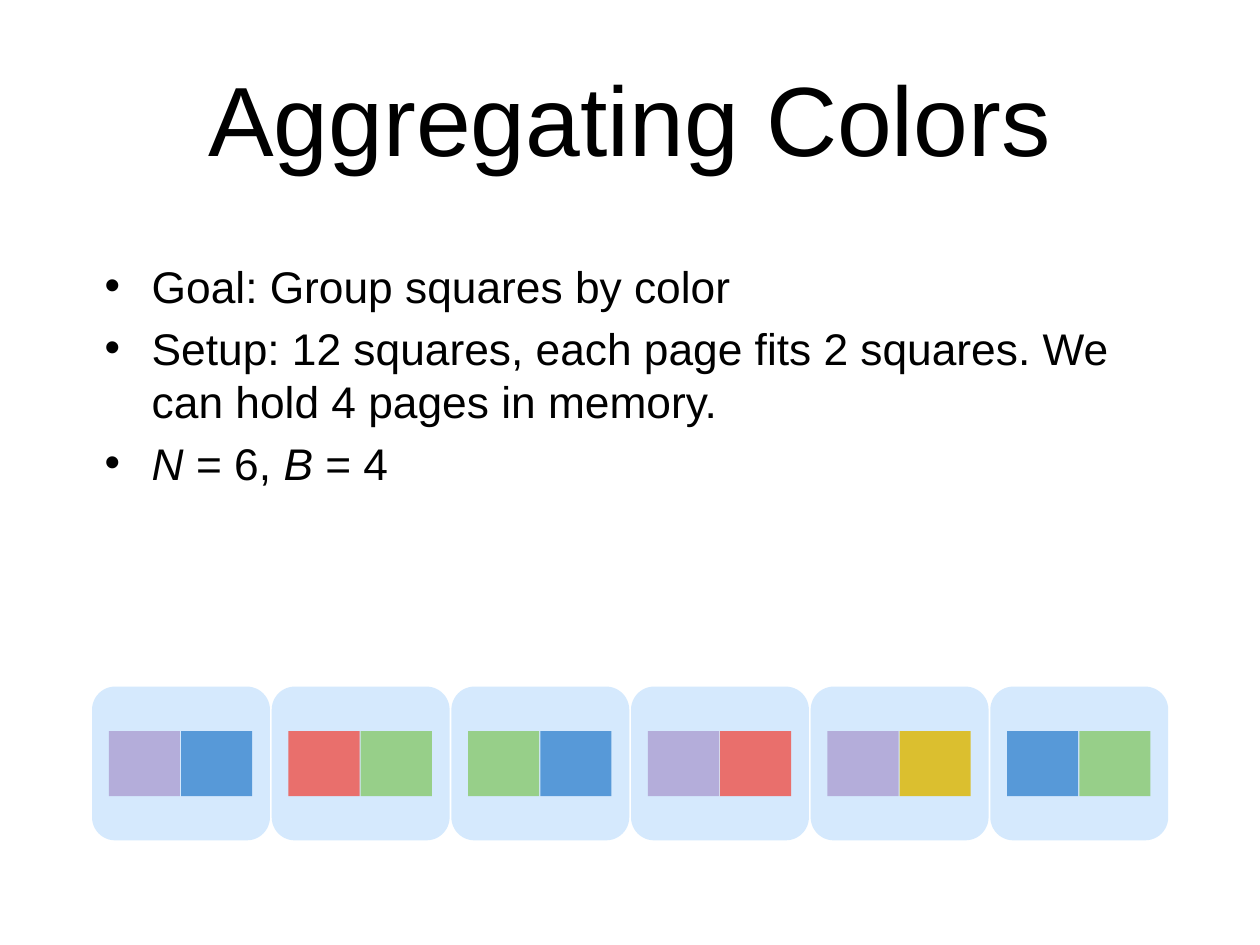
from pptx import Presentation
from pptx.dml.color import RGBColor
from pptx.enum.shapes import MSO_SHAPE
from pptx.enum.text import MSO_ANCHOR, MSO_AUTO_SIZE, PP_ALIGN
from pptx.oxml.ns import qn
from pptx.util import Cm, Pt
from lxml.etree import SubElement

FONT = "Arial"
BLACK = RGBColor(0x00, 0x00, 0x00)

# Each fill is a colour with its opacity in percent.
PAGE_FILL = (RGBColor(0x51, 0xA7, 0xF9), 24)
PURPLE = (RGBColor(0x77, 0x3F, 0x9B), 35)
BLUE = (RGBColor(0x03, 0x65, 0xC0), 60)
RED = (RGBColor(0xEC, 0x5D, 0x57), 87)
GREEN = (RGBColor(0x70, 0xBF, 0x41), 61)
YELLOW = (RGBColor(0xDC, 0xBD, 0x23), 94)

MEMORY_PAGES = [
    (PURPLE, BLUE),
    (RED, GREEN),
    (GREEN, BLUE),
    (PURPLE, RED),
    (PURPLE, YELLOW),
    (BLUE, GREEN),
]

# Each bullet is a list of (text, italic) spans.
BULLETS = [
    [("Goal: Group squares by color", False)],
    [("Setup: 12 squares, each page fits 2 squares. "
      "We can hold 4 pages in memory.", False)],
    [("N ", True), ("= 6, ", False), ("B ", True), ("= 4", False)],
]

PAGE_LEFT, PAGE_TOP, PAGE_PITCH = Cm(2.64), Cm(19.69), Cm(5.15)
PAGE_WIDTH, PAGE_HEIGHT = Cm(5.1), Cm(4.41)
SQUARE_INSET, SQUARE_TOP, SQUARE_PITCH = Cm(0.48), Cm(20.97), Cm(2.07)
SQUARE_WIDTH, SQUARE_HEIGHT = Cm(2.04), Cm(1.86)


def place(box, left, top, width, height):
    box.left, box.top, box.width, box.height = left, top, width, height


def prepare_frame(box, anchor):
    frame = box.text_frame
    frame.word_wrap = True
    frame.auto_size = MSO_AUTO_SIZE.NONE
    frame.vertical_anchor = anchor
    frame.margin_left = frame.margin_right = Cm(0.36)
    frame.margin_top = frame.margin_bottom = Cm(0.18)
    return frame


def style_paragraph(para, size):
    para.font.name = FONT
    para.font.size = Pt(size)
    para.font.color.rgb = BLACK


def set_title(page, text):
    title = page.shapes.title
    place(title, Cm(1.8), Cm(1.09), Cm(32.51), Cm(4.52))
    frame = prepare_frame(title, MSO_ANCHOR.MIDDLE)
    frame.text = text
    para = frame.paragraphs[0]
    para.alignment = PP_ALIGN.CENTER
    style_paragraph(para, 80)


def set_bullets(page, bullets):
    body = page.placeholders[1]
    place(body, Cm(2.64), Cm(7.24), Cm(30.84), Cm(10.67))
    frame = prepare_frame(body, MSO_ANCHOR.TOP)
    for index, spans in enumerate(bullets):
        para = frame.add_paragraph() if index else frame.paragraphs[0]
        for text, italic in spans:
            span = para.add_run()
            span.text = text
            if italic:
                span.font.italic = True
        style_paragraph(para, 36)
        para.space_before = Pt(7.2)
        properties = para._p.get_or_add_pPr()
        properties.set("marL", str(Cm(1.35)))
        properties.set("indent", str(Cm(-1.35)))
        SubElement(properties, qn("a:buChar"), char="•")


def add_block(page, kind, left, top, width, height, fill):
    """Add a borderless shape with a partly transparent fill."""
    color, opacity = fill
    block = page.shapes.add_shape(kind, left, top, width, height)
    block.shadow.inherit = False
    block.line.fill.background()
    block.fill.solid()
    block.fill.fore_color.rgb = color
    color_element = block._element.spPr.find(qn("a:solidFill"))[0]
    SubElement(color_element, qn("a:alpha"), val=str(opacity * 1000))
    return block


def add_memory_page(page, left, square_fills):
    sheet = add_block(page, MSO_SHAPE.ROUNDED_RECTANGLE, left, PAGE_TOP,
                      PAGE_WIDTH, PAGE_HEIGHT, PAGE_FILL)
    sheet.adjustments[0] = 0.15
    for index, fill in enumerate(square_fills):
        add_block(page, MSO_SHAPE.RECTANGLE,
                  left + SQUARE_INSET + index * SQUARE_PITCH, SQUARE_TOP,
                  SQUARE_WIDTH, SQUARE_HEIGHT, fill)


def main():
    deck = Presentation()
    deck.slide_width, deck.slide_height = Cm(36.12), Cm(27.1)
    page = deck.slides.add_slide(deck.slide_layouts[1])
    set_title(page, "Aggregating Colors")
    set_bullets(page, BULLETS)
    for index, square_fills in enumerate(MEMORY_PAGES):
        add_memory_page(page, PAGE_LEFT + index * PAGE_PITCH, square_fills)
    deck.save("out.pptx")


if __name__ == "__main__":
    main()
